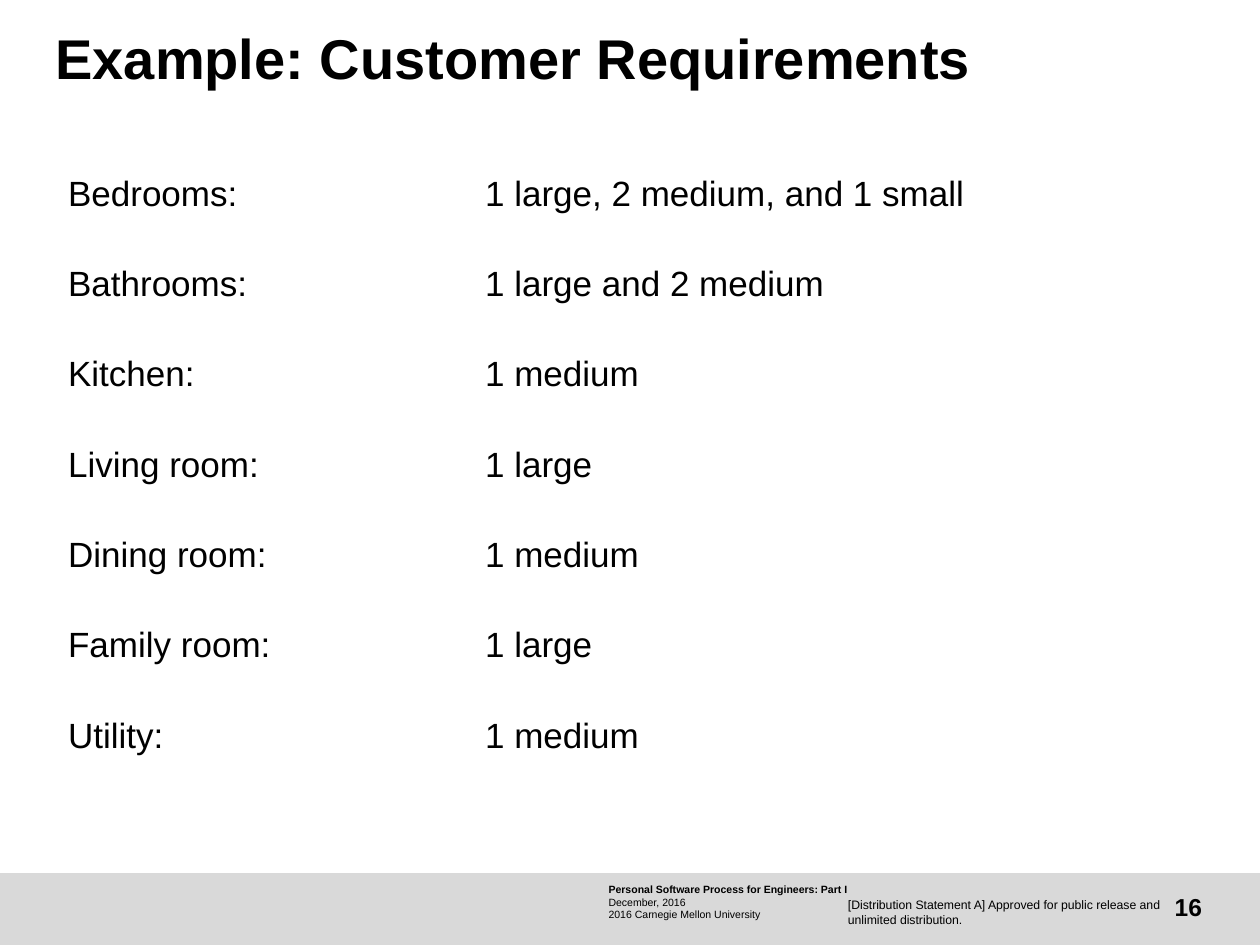
from dataclasses import dataclass

from pptx import Presentation
from pptx.dml.color import RGBColor
from pptx.enum.shapes import MSO_SHAPE
from pptx.enum.text import MSO_ANCHOR, PP_ALIGN
from pptx.util import Inches, Pt

RECTANGLE = MSO_SHAPE.RECTANGLE
TOP, MIDDLE = MSO_ANCHOR.TOP, MSO_ANCHOR.MIDDLE
LEFT, RIGHT = PP_ALIGN.LEFT, PP_ALIGN.RIGHT

WIDTH, HEIGHT = 10, 7.5
MARGIN = 0.44
FOOTER_TOP = 6.93
FONT = "Arial"
BLACK, GREY = "000000", "D9D9D9"


@dataclass
class Label:
    lines: list[str]
    left: float
    top: float
    width: float
    height: float
    size: float
    bold_lines: int = 0
    align: PP_ALIGN = LEFT
    anchor: MSO_ANCHOR = TOP
    line_spacing: float = 1.0


@dataclass
class Room:
    name: str
    requirement: str


LABELS = [
    Label(["Personal Software Process for Engineers: Part I", "December, 2016",
           "2016 Carnegie Mellon University"],
          4.83, 7.01, 2.21, 0.3, 6, bold_lines=1),
    Label(["16"], 8.98, 7, 0.56, 0.4, 14, bold_lines=1, align=RIGHT, anchor=MIDDLE),
    Label(["[Distribution Statement A] Approved for public release and unlimited distribution."],
          6.73, 7.12, 2.54, 0.23, 7),
    Label(["Example: Customer Requirements"],
          MARGIN, 0.25, 8.31, 0.73, 32, bold_lines=1, line_spacing=0.9),
]

ROOMS = [
    Room("Bedrooms:", "1 large, 2 medium, and 1 small"),
    Room("Bathrooms:", "1 large and 2 medium"),
    Room("Kitchen:", "1 medium"),
    Room("Living room:", "1 large"),
    Room("Dining room:", "1 medium"),
    Room("Family room:", "1 large"),
    Room("Utility:", "1 medium"),
]
TABLE_TOP, TABLE_HEIGHT = 1.18, 5.02
COLUMN_WIDTHS = (3.31, 5.79)


def color(value: str) -> RGBColor:
    return RGBColor.from_string(value)


def format_runs(paragraph, size: float, bold: bool = False) -> None:
    for run in paragraph.runs:
        run.font.name = FONT
        run.font.size = Pt(size)
        run.font.bold = bold
        run.font.color.rgb = color(BLACK)


def add_footer_band(slide) -> None:
    band = slide.shapes.add_shape(
        RECTANGLE, 0, Inches(FOOTER_TOP), Inches(WIDTH), Inches(HEIGHT - FOOTER_TOP))
    band.shadow.inherit = False
    band.fill.solid()
    band.fill.fore_color.rgb = color(GREY)
    band.line.fill.background()


def add_label(slide, label: Label) -> None:
    shape = slide.shapes.add_textbox(
        Inches(label.left), Inches(label.top), Inches(label.width), Inches(label.height))
    frame = shape.text_frame
    frame.word_wrap = True
    frame.margin_left = frame.margin_right = frame.margin_top = frame.margin_bottom = 0
    frame.vertical_anchor = label.anchor
    frame.text = "\n".join(label.lines)
    for index, paragraph in enumerate(frame.paragraphs):
        paragraph.alignment = label.align
        paragraph.line_spacing = label.line_spacing
        format_runs(paragraph, label.size, index < label.bold_lines)


def add_room_table(slide, rooms: list[Room]) -> None:
    table = slide.shapes.add_table(
        len(rooms), len(COLUMN_WIDTHS), Inches(MARGIN), Inches(TABLE_TOP),
        Inches(sum(COLUMN_WIDTHS)), Inches(TABLE_HEIGHT)).table
    table.first_row = False
    table.horz_banding = False
    for column, width in zip(table.columns, COLUMN_WIDTHS):
        column.width = Inches(width)
    for row, room in zip(table.rows, rooms):
        for cell, text in zip(row.cells, (room.name, room.requirement)):
            cell.fill.background()
            cell.vertical_anchor = MIDDLE
            cell.text_frame.text = text
            format_runs(cell.text_frame.paragraphs[0], 20)


def main() -> None:
    presentation = Presentation()
    presentation.slide_width = Inches(WIDTH)
    presentation.slide_height = Inches(HEIGHT)
    slide = presentation.slides.add_slide(presentation.slide_layouts[6])
    add_footer_band(slide)
    for label in LABELS:
        add_label(slide, label)
    add_room_table(slide, ROOMS)
    presentation.save("out.pptx")


if __name__ == "__main__":
    main()
